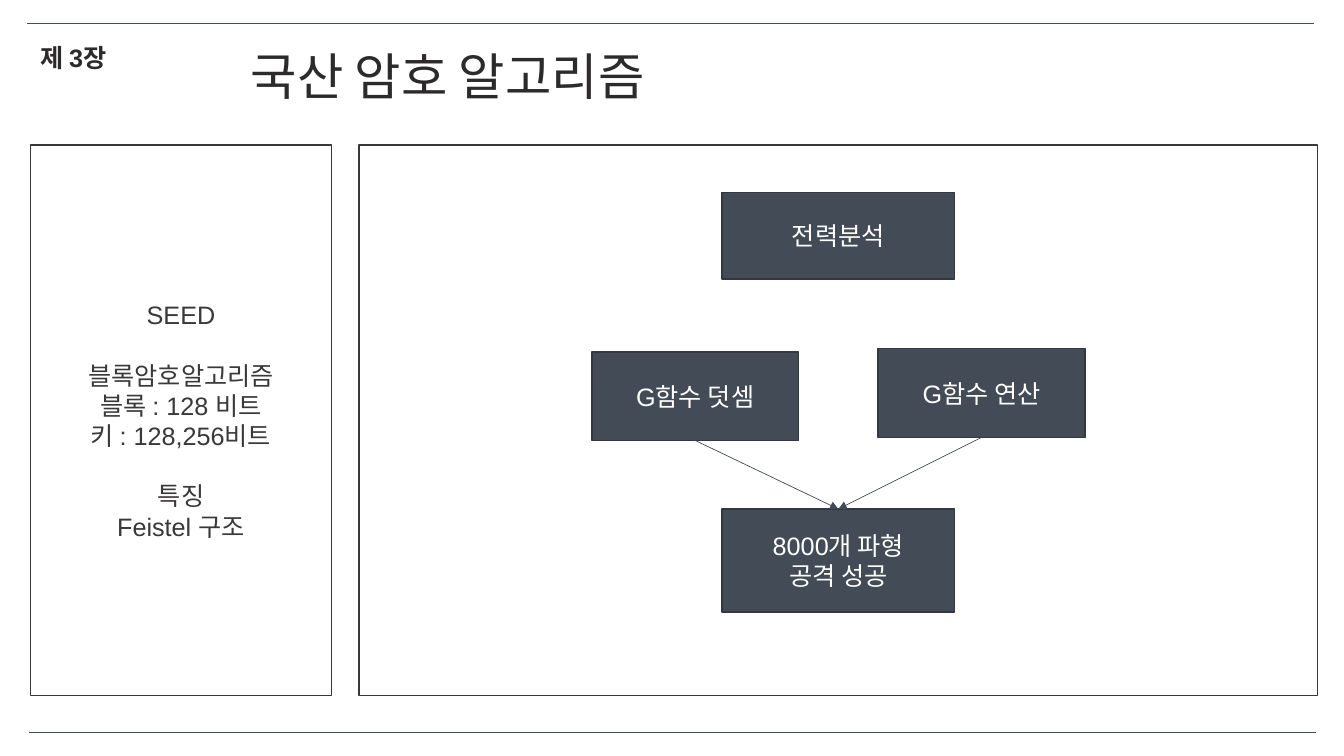
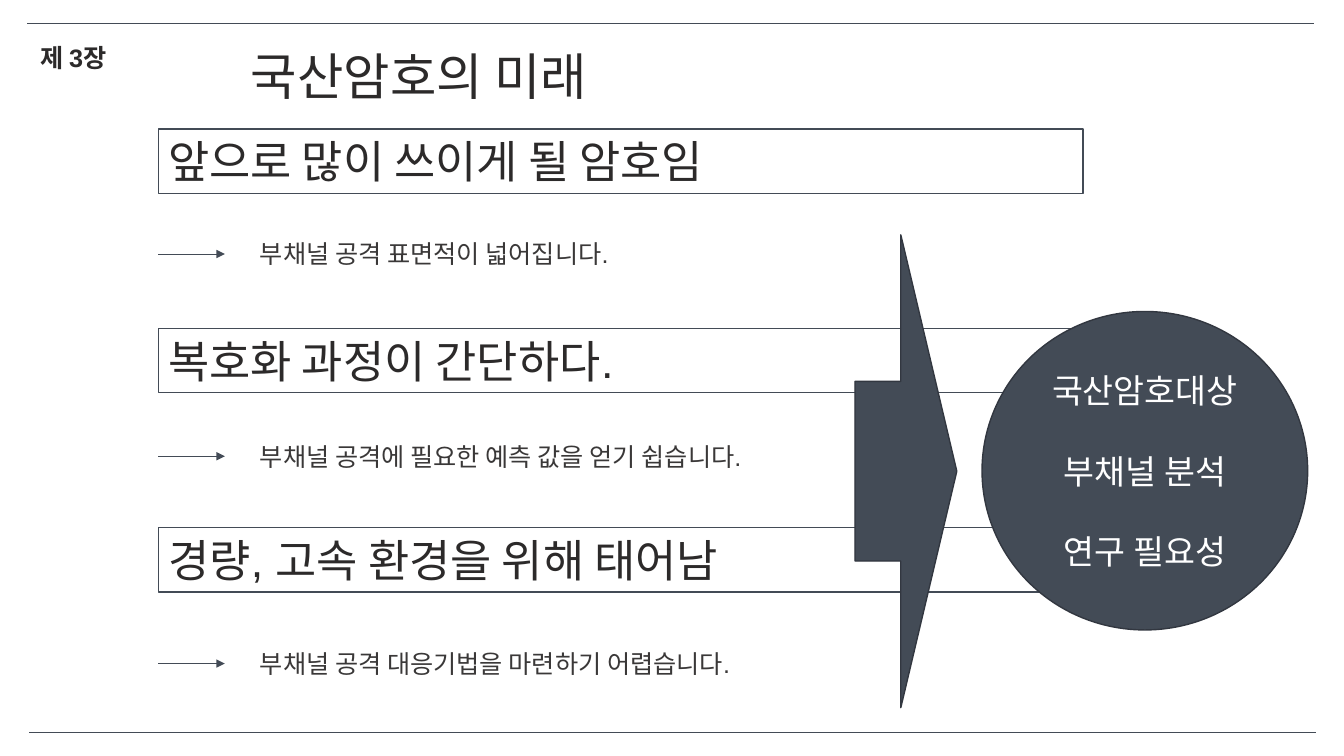
from collections import namedtuple

from lxml import etree
from pptx import Presentation
from pptx.dml.color import RGBColor
from pptx.enum import shapes as kinds, text as txt
from pptx.oxml import ns
from pptx.util import Inches, Pt

SLATE = RGBColor(0x43, 0x4B, 0x56)
SLATE_EDGE = RGBColor(0x32, 0x37, 0x40)
INK = RGBColor(0x2C, 0x2A, 0x2A)
GREY = RGBColor(0x3A, 0x38, 0x38)
WHITE = RGBColor(0xFF, 0xFF, 0xFF)
FONT = "Arial"
LEFT, CENTER = txt.PP_ALIGN.LEFT, txt.PP_ALIGN.CENTER
TOP, MIDDLE = txt.MSO_ANCHOR.TOP, txt.MSO_ANCHOR.MIDDLE
SHAPE = kinds.MSO_SHAPE
BOTTOM_SITE, TOP_SITE = 2, 0

Box = namedtuple("Box", "x y w h")


def inches(box):
    return [Inches(value) for value in box]


def write(frame, groups, size, color, align=LEFT, anchor=TOP, bold=False):
    frame.word_wrap = True
    frame.vertical_anchor = anchor
    lines = [(line, group > 0 and row == 0)
             for group, rows in enumerate(groups)
             for row, line in enumerate(rows)]
    for index, (line, opens_group) in enumerate(lines):
        paragraph = frame.add_paragraph() if index else frame.paragraphs[0]
        paragraph.text = line
        paragraph.alignment = align
        if opens_group:
            paragraph.space_before = Pt(size * 1.2)
        font = paragraph.font
        font.name, font.size, font.bold = FONT, Pt(size), bold
        font.color.rgb = color


def label(slide, box, line, size, color, bold=False):
    frame = slide.shapes.add_textbox(*inches(box)).text_frame
    write(frame, [[line]], size, color, bold=bold)


def panel(slide, box, fill=WHITE, edge=GREY, kind=SHAPE.RECTANGLE):
    shape = slide.shapes.add_shape(kind, *inches(box))
    shape.shadow.inherit = False
    shape.fill.solid()
    shape.fill.fore_color.rgb = fill
    shape.line.color.rgb = edge
    shape.line.width = Pt(1)
    return shape


def dark_panel(slide, box, groups=(), size=18, kind=SHAPE.RECTANGLE):
    shape = panel(slide, box, SLATE, SLATE_EDGE, kind)
    if groups:
        write(shape.text_frame, groups, size, WHITE, CENTER, MIDDLE)
    return shape


def rule(slide, x1, y1, x2, y2, arrow=False):
    line = slide.shapes.add_connector(
        kinds.MSO_CONNECTOR.STRAIGHT, *inches((x1, y1, x2, y2)))
    line.line.color.rgb = SLATE
    line.line.width = Pt(0.5)
    if arrow:
        etree.SubElement(line.line._get_or_add_ln(), ns.qn("a:tailEnd"), type="triangle")
    etree.SubElement(line._element.spPr, ns.qn("a:effectLst"))
    return line


def chapter_slide(deck, title):
    slide = deck.slides.add_slide(deck.slide_layouts[6])
    for x, y in ((0.27, 0.23), (0.29, 7.27)):
        rule(slide, x, y, x + 12.76, y)
    label(slide, Box(0.3, 0.37, 1.27, 0.4), "제 3장", 18, INK, bold=True)
    label(slide, Box(2.39, 0.4, 4.94, 0.71), title, 36, INK)
    return slide


def cipher_summary(slide, box):
    summary = [["SEED"],
               ["블록암호알고리즘", "블록 : 128 비트", "키 : 128,256비트"],
               ["특징", "Feistel 구조"]]
    write(panel(slide, box).text_frame, summary, 18, GREY, CENTER, MIDDLE)


def attack_diagram(slide, box):
    panel(slide, box)
    center = box.x + box.w / 2

    def step(offset, y, w, h, *lines):
        place = Box(center + offset - w / 2, box.y + y, w, h)
        return dark_panel(slide, place, [lines])

    step(0, 0.47, 2.31, 0.86, "전력분석")
    addition = step(-1.42, 2.05, 2.05, 0.88, "G함수 덧셈")
    operation = step(1.42, 2.02, 2.05, 0.88, "G함수 연산")
    success = step(0, 3.61, 2.31, 1.02, "8000개 파형", "공격 성공")
    for source in (addition, operation):
        link = rule(slide, 0, 0, 1, 1, arrow=True)
        link.begin_connect(source, BOTTOM_SITE)
        link.end_connect(success, TOP_SITE)


def reason(slide, box, heading, consequence, drop):
    banner = panel(slide, box, edge=SLATE)
    write(banner.text_frame, [[heading]], 32, INK)
    y = box.y + drop
    rule(slide, box.x, y, box.x + 0.66, y, arrow=True)
    label(slide, Box(box.x + 0.91, y - 0.2, 7.78, 0.4), consequence, 18, GREY)


def reasons(slide, box):
    entries = [
        ("앞으로 많이 쓰이게 될 암호임", "부채널 공격 표면적이 넓어집니다.", 1.24),
        ("복호화 과정이 간단하다.", "부채널 공격에 필요한 예측 값을 얻기 쉽습니다.", 1.27),
        ("경량, 고속 환경을 위해 태어남", "부채널 공격 대응기법을 마련하기 어렵습니다.", 1.35),
    ]
    pitch = box.h / len(entries)
    for row, entry in enumerate(entries):
        reason(slide, Box(box.x, box.y + row * pitch, box.w, 0.64), *entry)


def conclusion(slide, box):
    need = [["국산암호대상"], ["부채널 분석"], ["연구 필요성"]]
    dark_panel(slide, Box(box.x + 1.26, box.y + 0.76, box.w - 1.26, 3.16),
               need, 24, SHAPE.OVAL)
    arrow = dark_panel(slide, Box(box.x, box.y, 1.01, box.h), kind=SHAPE.RIGHT_ARROW)
    arrow.adjustments[0] = 0.38
    arrow.adjustments[1] = 0.55


deck = Presentation()
deck.slide_width, deck.slide_height = Inches(13.33), Inches(7.5)

algorithm = chapter_slide(deck, "국산 암호 알고리즘")
cipher_summary(algorithm, Box(0.3, 1.44, 2.99, 5.46))
attack_diagram(algorithm, Box(3.56, 1.44, 9.51, 5.46))

future = chapter_slide(deck, "국산암호의 미래")
reasons(future, Box(1.57, 1.28, 9.17, 5.93))
conclusion(future, Box(8.48, 2.33, 4.49, 4.69))

deck.save("out.pptx")
